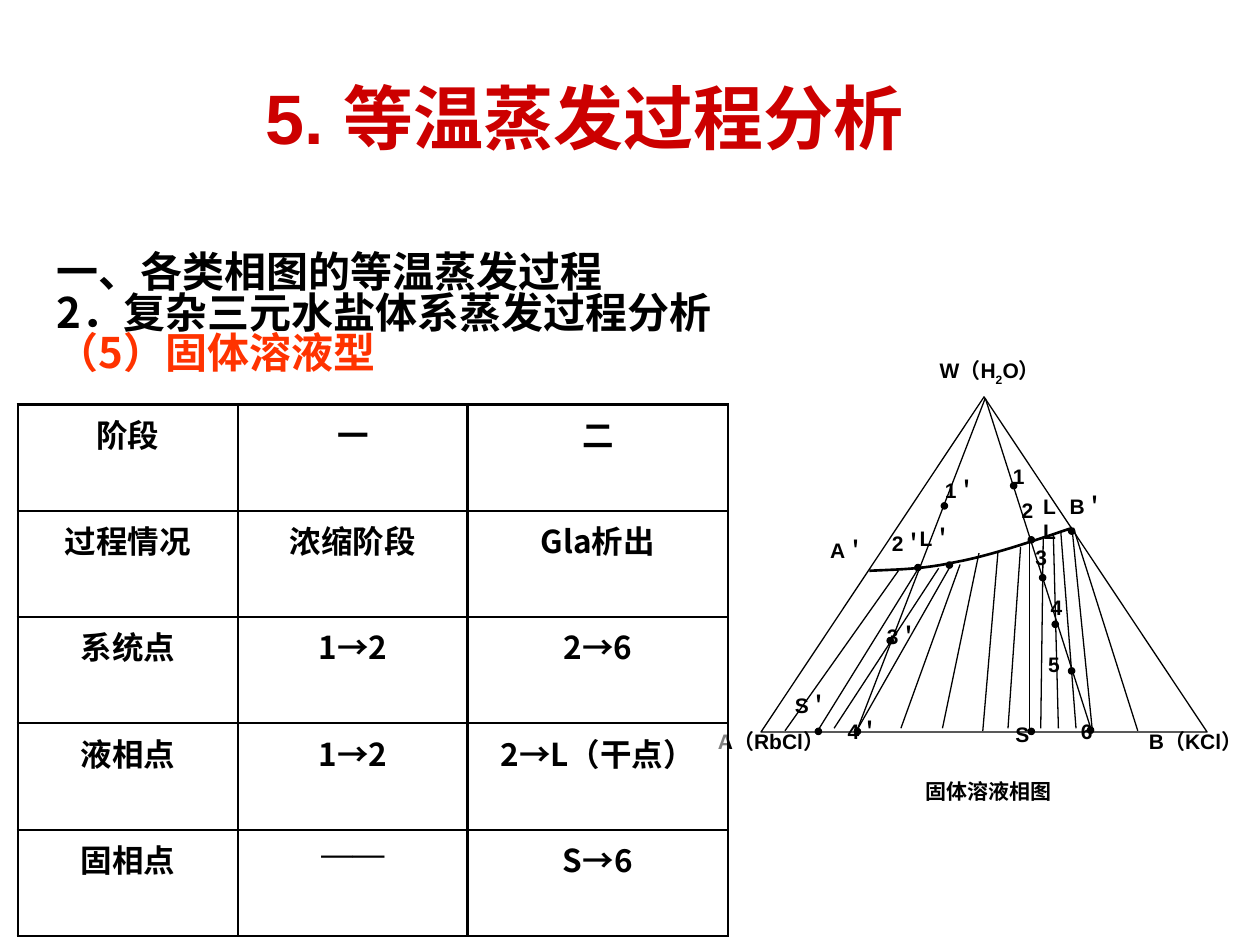
from lxml import etree
from pptx import Presentation
from pptx.dml.color import RGBColor
from pptx.enum.shapes import MSO_CONNECTOR, MSO_SHAPE
from pptx.enum.text import MSO_ANCHOR, MSO_AUTO_SIZE, PP_ALIGN
from pptx.oxml.ns import qn
from pptx.util import Inches, Pt

BLACK = RGBColor(0x00, 0x00, 0x00)
WHITE = RGBColor(0xFF, 0xFF, 0xFF)
RED = RGBColor(0xCC, 0x00, 0x00)
ORANGE = RGBColor(0xFF, 0x33, 0x00)
SANS, CJK, SERIF = "Arial", "Noto Sans CJK SC", "Times New Roman"
LEFT, CENTER, JUSTIFY = PP_ALIGN.LEFT, PP_ALIGN.CENTER, PP_ALIGN.JUSTIFY
TOP, MIDDLE = MSO_ANCHOR.TOP, MSO_ANCHOR.MIDDLE
NO_FIT = MSO_AUTO_SIZE.NONE
OVAL, TRIANGLE = MSO_SHAPE.OVAL, MSO_SHAPE.ISOSCELES_TRIANGLE
STRAIGHT = MSO_CONNECTOR.STRAIGHT

deck = Presentation()
deck.slide_width, deck.slide_height = Inches(10), Inches(7.5)
slide = deck.slides.add_slide(deck.slide_layouts[1])
UNIT = deck.slide_width // 1000


def grid(*cells):
    """Turn cells of a 1000 by 750 grid over the slide into lengths."""
    return [round(cell * UNIT) for cell in cells]


def style(para, size, name, color=BLACK, align=LEFT):
    para.alignment = align
    for run in para.runs:
        font = run.font
        font.size, font.name, font.bold = Pt(size), name, True
        font.color.rgb = color


# Title
title = slide.shapes.title
title.left, title.top, title.width, title.height = grid(201, 30, 749, 125)
frame = title.text_frame
frame.auto_size, frame.vertical_anchor = NO_FIT, MIDDLE
frame.text = "5. 等温蒸发过程分析"
style(frame.paragraphs[0], 40, SANS, RED)

# Headings
body = slide.placeholders[1]
body.left, body.top, body.width, body.height = grid(35, 178, 821, 89)
frame = body.text_frame
frame.auto_size, frame.vertical_anchor = NO_FIT, TOP
frame.text = "一、各类相图的等温蒸发过程\n2．复杂三元水盐体系蒸发过程分析\n（5）固体溶液型"
looks = [(1.3, BLACK), (0.8, BLACK), (0.8, ORANGE)]
for para, (space, color) in zip(frame.paragraphs, looks):
    props = para._p.get_or_add_pPr()
    props.set("marL", str(Inches(0.38)))
    props.set("indent", str(-Inches(0.38)))
    etree.SubElement(props, qn("a:buNone"))
    para.line_spacing, para.space_before = space, Pt(0)
    style(para, 24, CJK, color)

# Phase diagram: triangle, tie lines, solubility curve, points, labels
chart = slide.shapes.add_group_shape().shapes
area = chart.add_shape(TRIANGLE, *grid(604, 315, 354, 266))
area.shadow.inherit = False
area.fill.solid()
area.fill.fore_color.rgb = WHITE
area.line.color.rgb, area.line.width = BLACK, Pt(0.75)

ties = [
    (782, 316, 680, 580), (782, 316, 867, 582), (713, 453, 623, 580),
    (729, 451, 649, 580), (745, 451, 662, 578), (755, 448, 681, 578),
    (762, 448, 715, 578), (777, 439, 748, 578), (792, 439, 780, 580),
    (810, 434, 800, 578), (817, 429, 817, 580), (828, 426, 826, 578),
    (836, 424, 840, 578), (842, 423, 854, 578), (851, 421, 867, 580),
    (852, 419, 903, 580),
]
for ends in ties:
    tie = chart.add_connector(STRAIGHT, *grid(*ends))
    tie.line.color.rgb, tie.line.width = BLACK, Pt(0.75)
    etree.SubElement(tie._element.spPr, qn("a:effectLst"))

arcs = [
    [(690, 453), (711, 452), (732, 452), (759, 446)],
    [(759, 446), (786, 441), (818, 430), (851, 419)],
]
STEPS = 12
path = []
for arc in arcs:
    for step in range(STEPS + 1):
        t = step / STEPS
        parts = ((1 - t) ** 3, 3 * t * (1 - t) ** 2, 3 * t * t * (1 - t), t ** 3)
        path.append(grid(*(sum(p * v for p, v in zip(parts, axis)) for axis in zip(*arc))))
pen = chart.build_freeform(*path[0], scale=1.0)
pen.add_line_segments(path[1:], close=False)
curve = pen.convert_to_shape()
curve.shadow.inherit = False
curve.fill.background()
curve.line.color.rgb, curve.line.width = BLACK, Pt(1.5)

dots = [
    (747, 399), (726, 448), (704, 506), (678, 578), (802, 383), (816, 426),
    (825, 456), (835, 493), (848, 530), (863, 577), (816, 578), (647, 578),
    (848, 419), (751, 446),
]
for x, y in dots:
    dot = chart.add_shape(OVAL, *grid(x, y, 5, 5))
    dot.shadow.inherit = False
    dot.fill.solid()
    dot.fill.fore_color.rgb = BLACK
    dot.line.color.rgb, dot.line.width = BLACK, Pt(0.75)

marks = [
    ("A＇", 649, 422), ("B＇", 839, 387), ("S", 796, 568), ("L\nL", 818, 387),
    ("1＇", 740, 374), ("2＇", 698, 416), ("3＇", 694, 490), ("4＇", 663, 565),
    ("1", 794, 363), ("2", 801, 390), ("3", 812, 427), ("4", 824, 467),
    ("5", 822, 512), ("6", 848, 565), ("S＇", 621, 545), ("L＇", 720, 412),
]
labels = [(text, x, y, 56, 57, JUSTIFY) for text, x, y in marks]
labels += [
    ("固体溶液相图", 670, 613, 229, 57, CENTER),
    ("A（RbCl）", 560, 573, 134, 47, JUSTIFY),
    ("B（KCl）", 902, 573, 134, 47, JUSTIFY),
    ("W（H|2|O）", 736, 279, 115, 42, JUSTIFY),
]
for text, x, y, wide, high, align in labels:
    frame = chart.add_textbox(*grid(x, y, wide, high)).text_frame
    frame.word_wrap = True
    if "|" in text:
        for part in text.split("|"):
            run = frame.paragraphs[0].add_run()
            run.text = part
            if part == "2":
                run.font._element.set("baseline", "-25000")
    else:
        frame.text = text
    for para in frame.paragraphs:
        style(para, 12, SANS, align=align)

# Stage table
rows = [
    ("阶段", "一", "二"),
    ("过程情况", "浓缩阶段", "Gla析出"),
    ("系统点", "1→2", "2→6"),
    ("液相点", "1→2", "2→L（干点）"),
    ("固相点", "——", "S→6"),
]
table = slide.shapes.add_table(len(rows), 3, *grid(14, 321, 565, 422)).table
table.first_row = table.horz_banding = False
for col, wide in zip(table.columns, grid(175, 182, 207)):
    col.width = wide
for r, row in enumerate(rows):
    for c, text in enumerate(row):
        cell = table.cell(r, c)
        cell.text = text
        style(cell.text_frame.paragraphs[0], 18, SERIF if text == "——" else CJK, align=CENTER)
        props = cell._tc.get_or_add_tcPr()
        for side in ("lnL", "lnR", "lnT", "lnB"):
            edge = etree.SubElement(props, qn("a:" + side), w=str(Pt(1.5)))
            paint = etree.SubElement(edge, qn("a:solidFill"))
            etree.SubElement(paint, qn("a:srgbClr"), val=str(BLACK))
        cell.fill.solid()
        cell.fill.fore_color.rgb = WHITE
        tint = props.find(qn("a:solidFill")).find(qn("a:srgbClr"))
        etree.SubElement(tint, qn("a:alpha"), val="50000")

deck.save("out.pptx")
